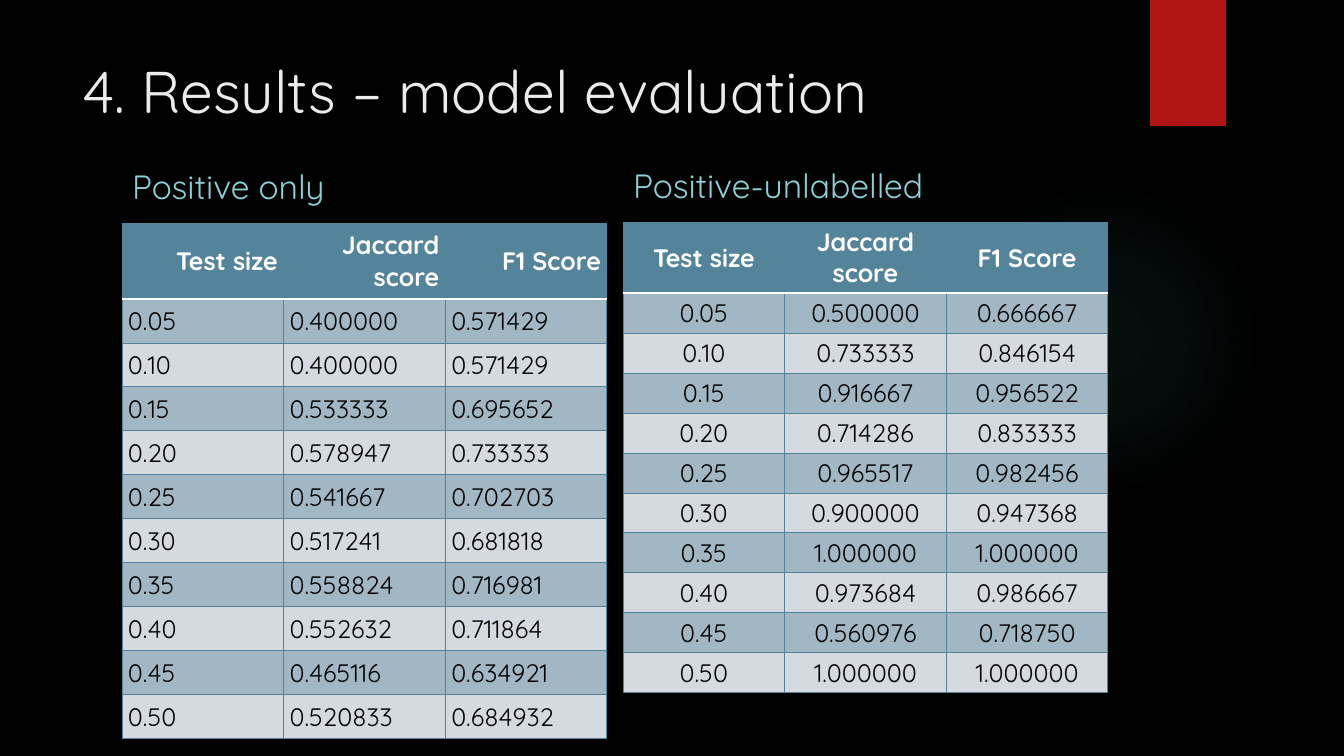
"""Build the model evaluation results slide with its two score tables."""
from dataclasses import dataclass

from lxml import etree
from pptx import Presentation
from pptx import util as u
from pptx.dml.color import RGBColor
from pptx.enum import shapes, text
from pptx.oxml import parse_xml
from pptx.oxml.ns import nsdecls, qn

EMU_PER_PX = 914400 / 100.8
FONT = "Quicksand"
TEAL, WHITE, BLACK = "54849A", "FFFFFF", "000000"
BANDS = ("A1B8C4", "D4DAE0")
HEADER = ("Test size", "Jaccard score", "F1 Score")
TEST_SIZES = [f"{n * 0.05:.2f}" for n in range(1, 11)]
GLOW_STOPS = ((0, 7), (36, 6), (69, 0))


@dataclass
class ScoreTable:
    title: str
    left: int
    top: int
    header_height: int
    row_height: int
    margin: int
    header_align: text.PP_ALIGN
    body_align: text.PP_ALIGN
    jaccard: list[str]
    f1: list[str]


SCORE_TABLES = [
    ScoreTable(
        "Positive only", 122, 223, 76, 44, 6, text.PP_ALIGN.RIGHT, text.PP_ALIGN.LEFT,
        ["0.400000", "0.400000", "0.533333", "0.578947", "0.541667",
         "0.517241", "0.558824", "0.552632", "0.465116", "0.520833"],
        ["0.571429", "0.571429", "0.695652", "0.733333", "0.702703",
         "0.681818", "0.716981", "0.711864", "0.634921", "0.684932"]),
    ScoreTable(
        "Positive-unlabelled", 623, 222, 71, 40, 4, text.PP_ALIGN.CENTER, text.PP_ALIGN.CENTER,
        ["0.500000", "0.733333", "0.916667", "0.714286", "0.965517",
         "0.900000", "1.000000", "0.973684", "0.560976", "1.000000"],
        ["0.666667", "0.846154", "0.956522", "0.833333", "0.982456",
         "0.947368", "1.000000", "0.986667", "0.718750", "1.000000"]),
]


def px(n: float) -> int:
    """Turn px into EMU."""
    return round(n * EMU_PER_PX)


def rgb(color: str) -> RGBColor:
    """Turn a hex string into a colour."""
    return RGBColor.from_string(color)


def add_run(p, words: str, size: int, color: str, bold: bool = False) -> None:
    """Add one formatted run to a paragraph."""
    r = p.add_run()
    r.text = words
    r.font.name, r.font.size, r.font.bold = FONT, u.Pt(size), bold
    r.font.color.rgb = rgb(color)


def fill_placeholder(sp, box: tuple[int, int, int, int], anchor: text.MSO_ANCHOR,
                     words: str, size: int, color: str, before: int = 0) -> None:
    """Move a placeholder and give it one line of text."""
    sp.left, sp.top, sp.width, sp.height = map(px, box)
    tf = sp.text_frame
    tf.word_wrap, tf.auto_size, tf.vertical_anchor = True, text.MSO_AUTO_SIZE.NONE, anchor
    p = tf.paragraphs[0]
    p.alignment, p.space_before = text.PP_ALIGN.LEFT, u.Pt(before)
    add_run(p, words, size, color)


def add_decor(s, kind: shapes.MSO_SHAPE, box: tuple[int, int, int, int], color: str):
    """Add a plain shape without line or shadow."""
    sp = s.shapes.add_shape(kind, *map(px, box))
    sp.shadow.inherit = False
    sp.fill.solid()
    sp.fill.fore_color.rgb = rgb(color)
    sp.line.fill.background()
    return sp


def set_glow(sp, color: str) -> None:
    """Replace a solid fill with a fading radial gradient."""
    stops = "".join(
        f'<a:gs pos="{pos * 1000}"><a:srgbClr val="{color}">'
        f'<a:alpha val="{alpha * 1000}"/></a:srgbClr></a:gs>' for pos, alpha in GLOW_STOPS)
    glow = parse_xml(
        f'<a:gradFill {nsdecls("a")}><a:gsLst>{stops}</a:gsLst><a:path path="circle">'
        '<a:fillToRect l="50000" t="50000" r="50000" b="50000"/></a:path></a:gradFill>')
    solid = sp.element.spPr.find(qn("a:solidFill"))
    solid.getparent().replace(solid, glow)


def add_border(cell, side: str, color: str, width: float) -> None:
    """Draw one side of a cell border."""
    ln = etree.SubElement(cell._tc.get_or_add_tcPr(), qn(f"a:ln{side}"), w=str(u.Pt(width)))
    solid = etree.SubElement(ln, qn("a:solidFill"))
    etree.SubElement(solid, qn("a:srgbClr"), val=color)


def format_cell(cell, words: str, row: int, table: ScoreTable) -> None:
    """Write and style one cell by its row."""
    header = row == 0
    white_side = {0: "B", 1: "T"}.get(row)
    for side in "LRTB":
        add_border(cell, side, *((WHITE, 1.5) if side == white_side else (TEAL, 0.75)))
    cell.fill.solid()
    cell.fill.fore_color.rgb = rgb(TEAL if header else BANDS[(row - 1) % 2])
    cell.vertical_anchor = text.MSO_ANCHOR.MIDDLE
    cell.margin_left = cell.margin_right = px(table.margin)
    cell.margin_top = cell.margin_bottom = px(table.margin)
    p = cell.text_frame.paragraphs[0]
    p.alignment = table.header_align if header else table.body_align
    add_run(p, words, 18, WHITE if header else BLACK, header)


def add_scores(s, table: ScoreTable) -> None:
    """Draw one score table."""
    rows = [HEADER, *zip(TEST_SIZES, table.jaccard, table.f1)]
    heights = [table.header_height] + [table.row_height] * len(TEST_SIZES)
    grid = s.shapes.add_table(len(rows), len(HEADER), px(table.left), px(table.top),
                              px(485), px(sum(heights))).table
    for i, (values, height) in enumerate(zip(rows, heights)):
        grid.rows[i].height = px(height)
        for j, words in enumerate(values):
            format_cell(grid.cell(i, j), words, i, table)


def main() -> None:
    """Build and save the slide."""
    prs = Presentation()
    prs.slide_width, prs.slide_height = px(1344), px(756)
    s = prs.slides.add_slide(prs.slide_layouts[4])
    s.background.fill.solid()
    s.background.fill.fore_color.rgb = rgb(BLACK)
    title, left_head, left_body, right_head, right_body = s.placeholders
    for sp in (left_body, right_body):
        sp.element.getparent().remove(sp.element)

    set_glow(add_decor(s, shapes.MSO_SHAPE.OVAL, (949, 184, 310, 310), "50B9C1"), "50B9C1")
    add_decor(s, shapes.MSO_SHAPE.RECTANGLE, (1150, 0, 76, 126), "B01513")
    fill_placeholder(title, (72, 50, 1037, 154), text.MSO_ANCHOR.TOP,
                     "4. Results – model evaluation", 42, "EBEBEB")
    for head, table in zip((left_head, right_head), SCORE_TABLES):
        fill_placeholder(head, (table.left, table.top - 76, 485, 64), text.MSO_ANCHOR.BOTTOM,
                         table.title, 24, "8AD0D6", 10)
        add_scores(s, table)
    prs.save("out.pptx")


if __name__ == "__main__":
    main()
